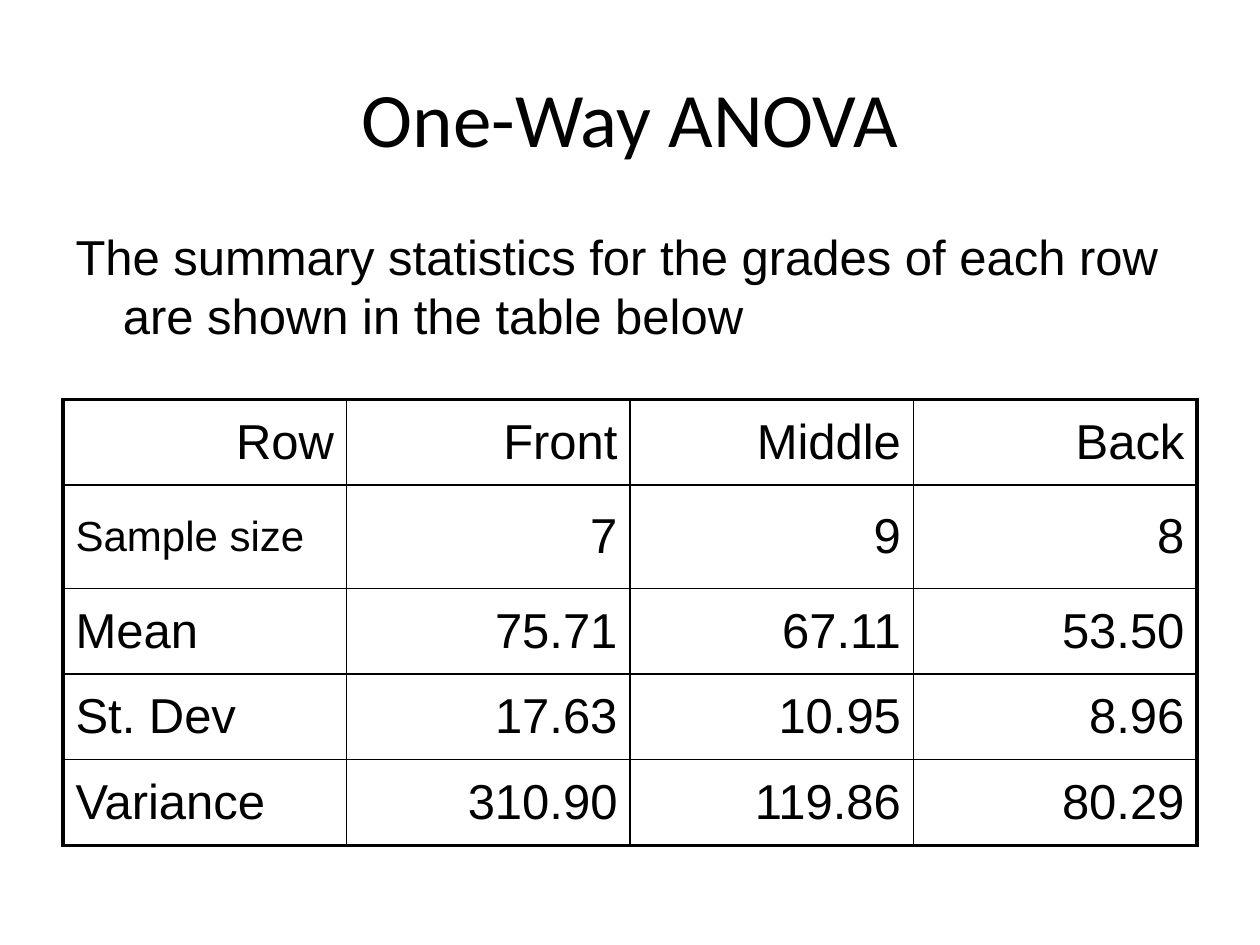
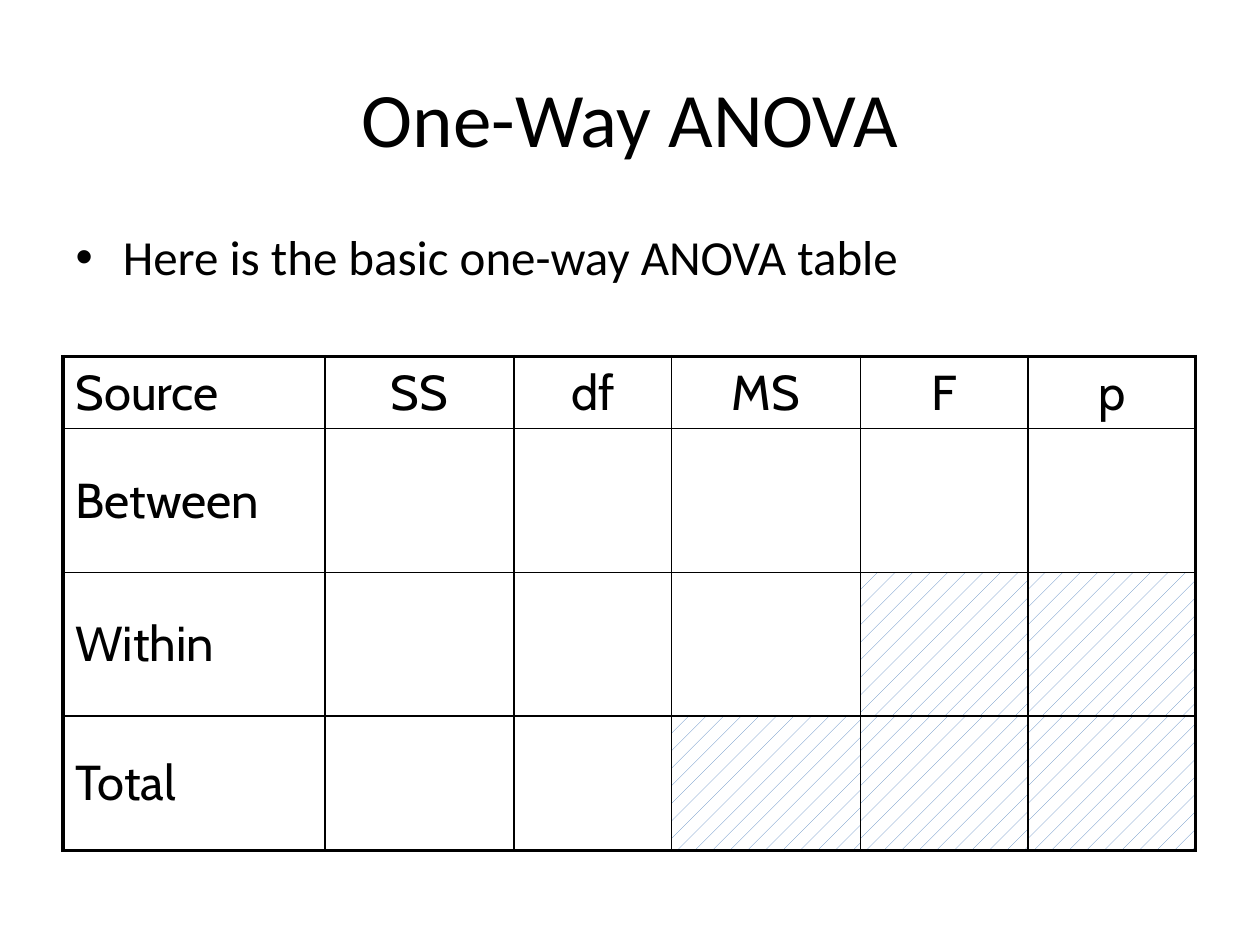
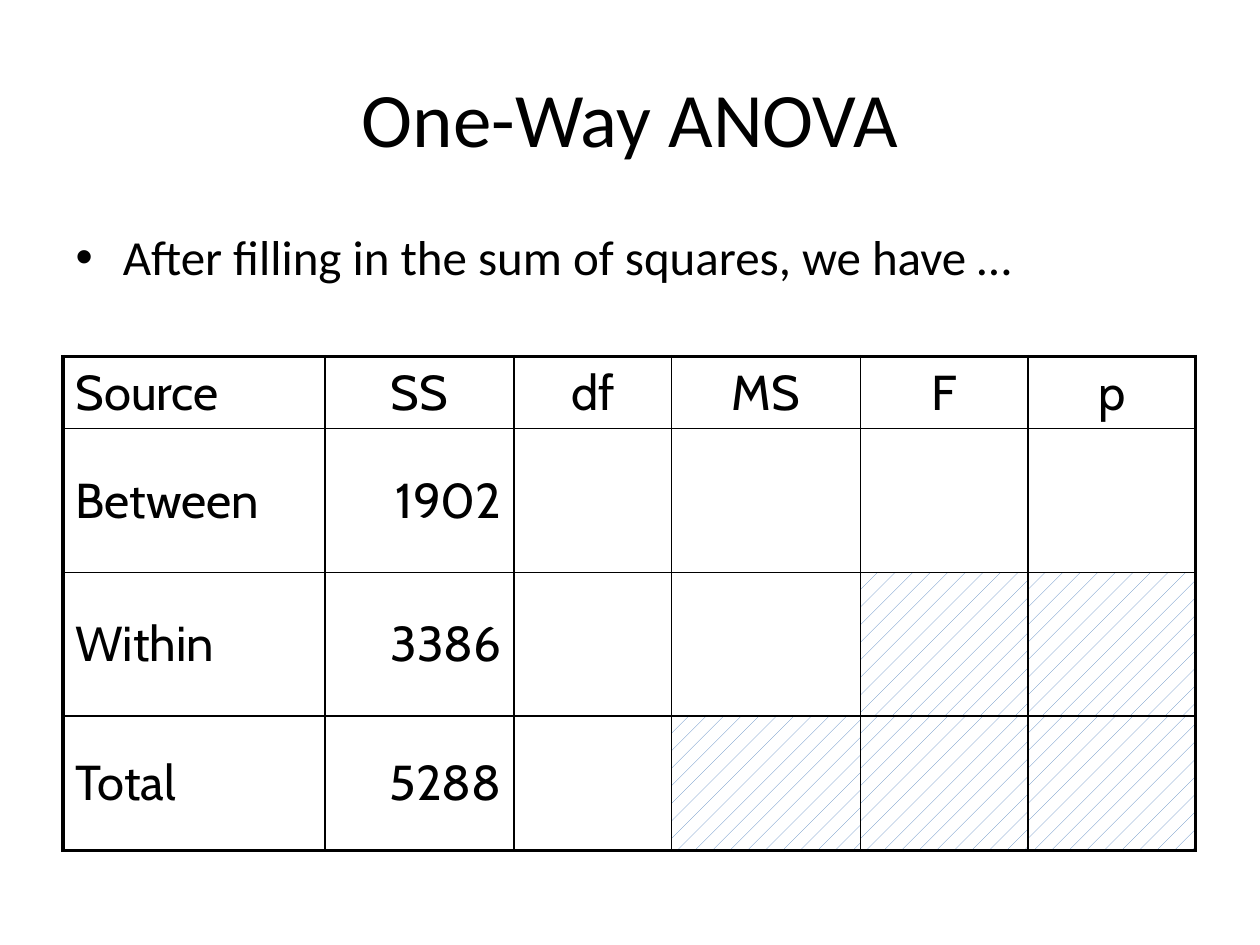
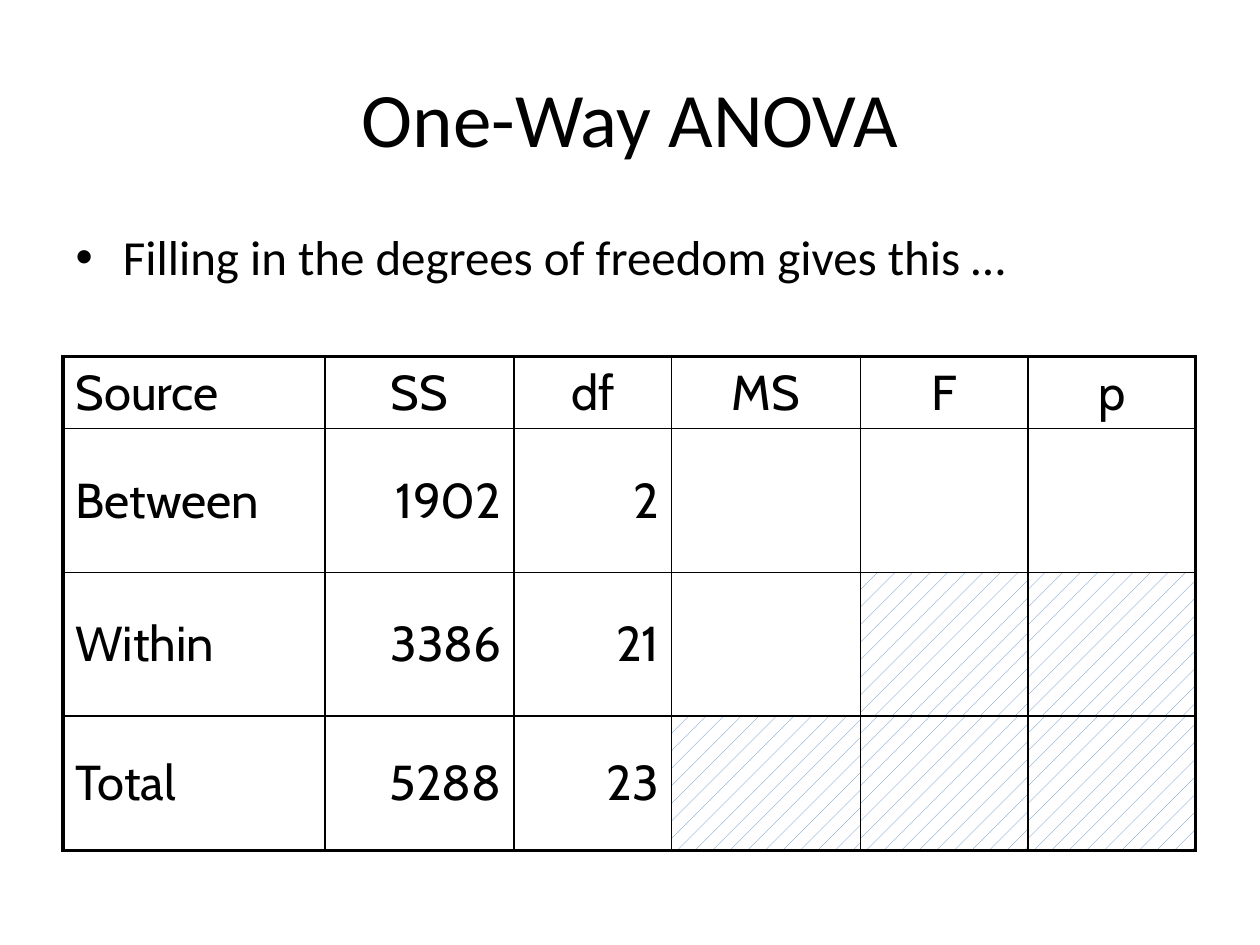
from lxml.etree import SubElement
from pptx import Presentation
from pptx.dml.color import RGBColor
from pptx.enum.dml import MSO_PATTERN
from pptx.enum.text import MSO_ANCHOR, MSO_AUTO_SIZE, PP_ALIGN
from pptx.oxml.ns import qn
from pptx.util import Inches, Pt

BLACK = RGBColor(0x00, 0x00, 0x00)
WHITE = RGBColor(0xFF, 0xFF, 0xFF)
BLUE = RGBColor(0x4F, 0x81, 0xBD)

TITLE = "One-Way ANOVA"
TITLE_FONT = {"name": "Calibri", "size": Pt(44)}
BULLET_FONT = {"name": "Calibri", "size": Pt(28)}
PLAIN_FONT = {"name": "Arial", "size": Pt(28)}
SMALL_FONT = {"name": "Arial", "size": Pt(24)}
ANOVA_FONT = {"name": "Cabin", "size": Pt(28)}

LEFT, WIDTH = 0.5, 9
INNER_LINE, OUTER_LINE = Pt(1), Pt(2.25)

SUMMARY_ROWS = [
    ["Row", "Front", "Middle", "Back"],
    ["Sample size", "7", "9", "8"],
    ["Mean", "75.71", "67.11", "53.50"],
    ["St. Dev", "17.63", "10.95", "8.96"],
    ["Variance", "310.90", "119.86", "80.29"],
]
ANOVA_HEADER = ["Source", "SS", "df", "MS", "F", "p"]
SOURCES = ["Between", "Within", "Total"]
SUM_SQUARES = ["1902", "3386", "5288"]
FREEDOM = ["2", "21", "23"]
# Cells of the ANOVA table that never hold a value, as (row, column)
UNUSED_CELLS = {(2, 4), (2, 5), (3, 3), (3, 4), (3, 5)}


def set_font(span, font_format):
    for name, value in font_format.items():
        setattr(span.font, name, value)
    span.font.color.rgb = BLACK


def place(shape, top, height):
    box = {"left": LEFT, "top": top, "width": WIDTH, "height": height}
    for name, value in box.items():
        setattr(shape, name, Inches(value))


def fill_placeholder(shape, text, font_format, top, height):
    place(shape, top, height)
    frame = shape.text_frame
    frame.auto_size = MSO_AUTO_SIZE.NONE
    para = frame.paragraphs[0]
    span = para.add_run()
    span.text = text
    set_font(span, font_format)
    return para


def add_page(deck, text, font_format, body_height, bullet=True):
    page = deck.slides.add_slide(deck.slide_layouts[1])
    fill_placeholder(page.shapes.title, TITLE, TITLE_FONT, 0.3, 1.25)
    para = fill_placeholder(page.placeholders[1], text, font_format, 1.75, body_height)
    if not bullet:
        SubElement(para._p.get_or_add_pPr(), qn("a:buNone"))
    return page


def add_border(cell, side, width):
    line = SubElement(cell._tc.get_or_add_tcPr(), qn(f"a:ln{side}"), w=str(width))
    fill = SubElement(line, qn("a:solidFill"))
    SubElement(fill, qn("a:srgbClr"), val=str(BLACK))


def write_cell(cell, text, font_format, align):
    cell.vertical_anchor = MSO_ANCHOR.MIDDLE
    para = cell.text_frame.paragraphs[0]
    para.alignment = align
    # Space before each paragraph: 20 % of the line
    spacing = SubElement(para._p.get_or_add_pPr(), qn("a:spcBef"))
    SubElement(spacing, qn("a:spcPct"), val="20000")
    span = para.add_run()
    span.text = text
    set_font(span, font_format)


def fill_cell(cell, unused):
    if unused:
        cell.fill.patterned()
        cell.fill.pattern = MSO_PATTERN.PERCENT_5
        cell.fill.fore_color.rgb = BLUE
        cell.fill.back_color.rgb = WHITE
    else:
        cell.fill.background()


def add_grid(page, rows, top, widths, heights, font_format, header_align,
             corner_align, special_fonts={}, unused_cells=()):
    row_count, column_count = len(rows), len(widths)
    table = page.shapes.add_table(
        row_count, column_count, Inches(LEFT), Inches(top),
        Inches(WIDTH), Inches(sum(heights))).table
    table.first_row = table.horz_banding = False
    for column, width in zip(table.columns, widths):
        column.width = Inches(width)
    for row, height in zip(table.rows, heights):
        row.height = Inches(height)

    for r, texts in enumerate(rows):
        for c, text in enumerate(texts):
            cell = table.cell(r, c)
            # Thick lines run round the outside only
            outer = {"L": c == 0, "R": c == column_count - 1,
                     "T": r == 0, "B": r == row_count - 1}
            for side, is_outer in outer.items():
                add_border(cell, side, OUTER_LINE if is_outer else INNER_LINE)
            fill_cell(cell, (r, c) in unused_cells)
            if r == 0:
                align = header_align if c else corner_align
            else:
                align = PP_ALIGN.RIGHT if c else PP_ALIGN.LEFT
            if text:
                write_cell(cell, text, special_fonts.get(text, font_format), align)


def add_anova_page(deck, text, *value_columns):
    page = add_page(deck, text, BULLET_FONT, 0.75)
    empty = [""] * len(SOURCES)
    columns = [SOURCES, *value_columns]
    columns += [empty] * (len(ANOVA_HEADER) - len(columns))
    add_grid(page, [ANOVA_HEADER, *zip(*columns)], 2.83,
             [2.08, 1.5, 1.25, 1.5, 1.33, 1.33], [0.57, 1.14, 1.14, 1.07],
             ANOVA_FONT, PP_ALIGN.CENTER, PP_ALIGN.LEFT,
             unused_cells=UNUSED_CELLS)


def main():
    deck = Presentation()
    deck.slide_width, deck.slide_height = Inches(10), Inches(7.5)

    # Summary statistics
    page = add_page(
        deck, "The summary statistics for the grades of each row are shown in the table below",
        PLAIN_FONT, 1.33, bullet=False)
    add_grid(page, SUMMARY_ROWS, 3.17, [2.25] * 4, [0.68, 0.82, 0.68, 0.68, 0.68],
             PLAIN_FONT, PP_ALIGN.RIGHT, PP_ALIGN.RIGHT,
             special_fonts={"Sample size": SMALL_FONT})

    # ANOVA table, filled in step by step
    add_anova_page(deck, "Here is the basic one-way ANOVA table")
    add_anova_page(deck, "After filling in the sum of squares, we have …", SUM_SQUARES)
    add_anova_page(deck, "Filling in the degrees of freedom gives this …", SUM_SQUARES, FREEDOM)

    deck.save("out.pptx")


if __name__ == "__main__":
    main()
